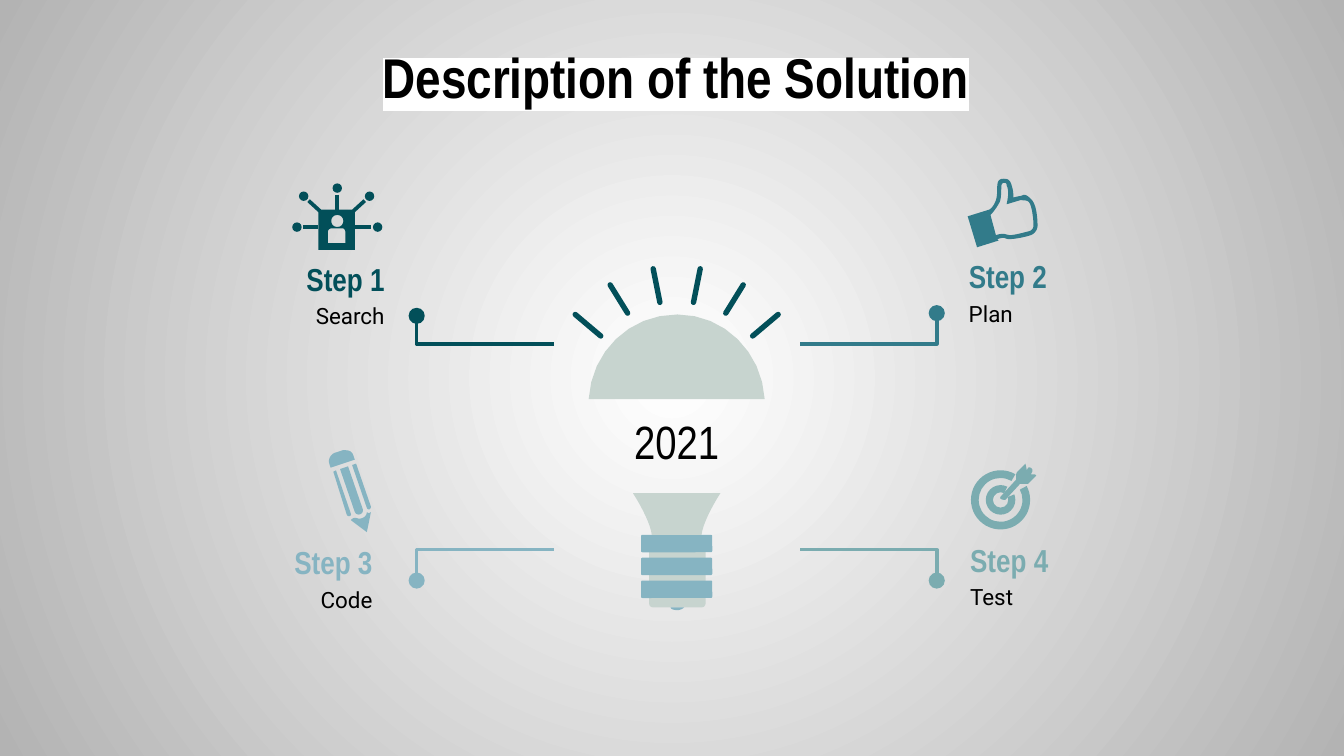
from dataclasses import dataclass

from lxml.etree import SubElement
from pptx import Presentation
from pptx.dml.color import RGBColor as Rgb
from pptx.enum.shapes import MSO_CONNECTOR as Connector, MSO_SHAPE as Preset
from pptx.enum.text import MSO_ANCHOR as Anchor, PP_ALIGN as Align
from pptx.oxml.ns import qn
from pptx.util import Inches, Pt


@dataclass(frozen=True)
class Theme:
    black: str = "000000"
    white: str = "FFFFFF"
    edge: str = "B3B3B3"
    glass: str = "C7D4CF"
    search: str = "024F59"
    plan: str = "327B8A"
    code: str = "86B4C2"
    test: str = "7BACB0"
    heading: str = "Arial Narrow"
    body: str = "Roboto"
    title_size: float = 30
    year_size: float = 25
    step_size: float = 17
    body_size: float = 12


@dataclass(frozen=True)
class Step:
    title: str
    detail: str
    color: str
    on_left: bool
    edge: float          # aligned edge of both labels
    top: float
    dot: tuple[float, float]
    corner_y: float
    title_width: float = 1.39


THEME = Theme()
SLIDE_WIDTH = Inches(10)
SLIDE_HEIGHT = SLIDE_WIDTH * 9 // 16
DETAIL_WIDTH = 2.23
TITLE_HEIGHT, DETAIL_HEIGHT = 0.32, 0.76
DOT_SIZE, ARM_LENGTH = 0.12, 1.02
BULB_X = 5.035

STEPS = [
    Step("Step 1", "Search", THEME.search, True, 2.96, 1.83, (3.1, 2.35), 2.56),
    Step("Step 2", "Plan", THEME.plan, False, 7.11, 1.81, (6.97, 2.33), 2.56),
    Step("Step 3", "Code", THEME.code, True, 2.87, 3.94, (3.1, 4.32), 4.09),
    Step("Step 4", "Test", THEME.test, False, 7.12, 3.92, (6.97, 4.32), 4.09, 2.23),
]

# Outlines: M starts a closed contour, L is a line, C a cubic curve
PENCIL = """
M 2.57 3.35 C 2.56 3.35 2.56 3.35 2.55 3.35 L 2.49 3.37 C 2.46 3.38 2.44 3.42 2.45 3.45
L 2.46 3.48 L 2.64 3.42 L 2.63 3.39 C 2.62 3.36 2.6 3.35 2.57 3.35
M 2.65 3.45 L 2.62 3.46 L 2.73 3.78 C 2.74 3.8 2.76 3.79 2.76 3.77
M 2.59 3.47 L 2.53 3.49 L 2.64 3.81 C 2.66 3.85 2.71 3.82 2.7 3.79
M 2.5 3.5 L 2.48 3.51 L 2.58 3.83 C 2.59 3.85 2.62 3.84 2.61 3.82
M 2.76 3.81 C 2.75 3.82 2.74 3.82 2.73 3.81 C 2.73 3.84 2.7 3.86 2.67 3.86
C 2.64 3.85 2.63 3.85 2.61 3.87 L 2.73 3.96"""
BADGE = """
M 2.37 1.56 L 2.64 1.56 L 2.64 1.86 L 2.37 1.86
M 2.51 1.6 C 2.57 1.6 2.57 1.69 2.51 1.69 C 2.45 1.69 2.45 1.6 2.51 1.6
M 2.55 1.7 C 2.56 1.7 2.57 1.71 2.57 1.73 L 2.57 1.81 L 2.44 1.81 L 2.44 1.73
C 2.44 1.71 2.45 1.7 2.47 1.7"""
THUMB = """
M 7.47 1.36 C 7.48 1.36 7.49 1.36 7.49 1.38 C 7.51 1.42 7.5 1.47 7.49 1.52 L 7.59 1.49
C 7.62 1.49 7.65 1.49 7.66 1.51 C 7.68 1.54 7.69 1.64 7.69 1.68 C 7.69 1.68 7.69 1.71 7.66 1.72
C 7.62 1.73 7.55 1.75 7.51 1.75 L 7.47 1.74 C 7.46 1.74 7.44 1.74 7.41 1.75 L 7.37 1.6
C 7.39 1.58 7.42 1.54 7.44 1.5 C 7.45 1.47 7.45 1.42 7.45 1.39 C 7.45 1.37 7.46 1.36 7.47 1.36
M 7.47 1.33 C 7.44 1.33 7.42 1.34 7.42 1.39 C 7.42 1.42 7.42 1.46 7.41 1.49
C 7.4 1.52 7.38 1.55 7.36 1.56 L 7.2 1.61 L 7.27 1.84 L 7.43 1.79 L 7.42 1.78
C 7.45 1.77 7.46 1.77 7.47 1.77 L 7.5 1.78 C 7.56 1.78 7.64 1.76 7.67 1.75
C 7.72 1.73 7.72 1.68 7.72 1.68 C 7.72 1.67 7.72 1.54 7.68 1.49 C 7.66 1.47 7.64 1.45 7.62 1.45
C 7.61 1.45 7.6 1.46 7.58 1.46 L 7.54 1.47 C 7.54 1.45 7.54 1.42 7.53 1.39
C 7.52 1.35 7.51 1.33 7.47 1.33"""
DART = """
M 7.63 3.45 L 7.57 3.51 C 7.56 3.52 7.56 3.53 7.56 3.57 L 7.45 3.69 C 7.43 3.71 7.45 3.72 7.48 3.72
L 7.59 3.6 L 7.63 3.6 L 7.65 3.6 L 7.71 3.54 L 7.7 3.53 L 7.67 3.53 L 7.68 3.51
C 7.69 3.5 7.67 3.47 7.65 3.48 L 7.64 3.5"""
DOME = "M 5.04 2.34 C 4.68 2.34 4.4 2.62 4.38 2.97 L 5.69 2.97 C 5.67 2.62 5.39 2.34 5.04 2.34"
NECK = "M 4.71 3.67 C 4.78 3.78 4.84 3.9 4.85 3.98 L 5.22 3.98 C 5.23 3.9 5.29 3.78 5.36 3.67"
TIP = "M 4.99 4.52 C 4.99 4.53 5.01 4.54 5.04 4.54 C 5.06 4.54 5.08 4.53 5.09 4.52"


def paint(shape, color: str) -> None:
    shape.shadow.inherit = False
    shape.fill.solid()
    shape.fill.fore_color.rgb = Rgb.from_string(color)
    shape.line.fill.background()


def add_preset(slide, kind, box: tuple, color: str, *adjustments: float) -> None:
    shape = slide.shapes.add_shape(kind, *map(Inches, box))
    for index, value in enumerate(adjustments):
        shape.adjustments[index] = value
    paint(shape, color)


def add_circle(slide, x: float, y: float, size: float, color: str) -> None:
    add_preset(slide, Preset.OVAL, (x - size / 2, y - size / 2, size, size), color)


def trace(outline: str, samples: int = 8) -> list[list[tuple[float, float]]]:
    """Turn an outline into contours of points, sampling its curves."""
    contours = []
    for part in outline.split("M")[1:]:
        tokens = part.replace("L", "|L").replace("C", "|C").split("|")
        points = [tuple(map(float, tokens[0].split()))]
        for token in tokens[1:]:
            values = [float(number) for number in token[1:].split()]
            if token[0] == "L":
                points.append(tuple(values))
                continue
            xs, ys = ((points[-1][axis], *values[axis::2]) for axis in (0, 1))
            for t in (i / samples for i in range(1, samples + 1)):
                weights = ((1 - t) ** 3, 3 * t * (1 - t) ** 2, 3 * t * t * (1 - t), t ** 3)
                points.append(tuple(sum(w * v for w, v in zip(weights, vs)) for vs in (xs, ys)))
        contours.append(points)
    return contours


def build_path(slide, contours: list, close: bool = True):
    contours = [[(Inches(x), Inches(y)) for x, y in points] for points in contours]
    builder = slide.shapes.build_freeform(*contours[0][0])
    for index, points in enumerate(contours):
        if index:
            builder.move_to(*points[0])
        builder.add_line_segments(points[1:], close=close)
    return builder.convert_to_shape()


def add_outline(slide, outline: str, color: str) -> None:
    paint(build_path(slide, trace(outline)), color)


def add_line(slide, start: tuple, end: tuple, color: str, width: float, cap: str = "flat") -> None:
    line = slide.shapes.add_connector(Connector.STRAIGHT, *map(Inches, (*start, *end)))
    line.line.color.rgb = Rgb.from_string(color)
    line.line.width = Pt(width)
    line.line._get_or_add_ln().set("cap", cap)
    SubElement(line._element.spPr, qn("a:effectLst"))


def add_text(slide, text: str, box: tuple, font: str, size: float, color: str,
             align=Align.LEFT, bold: bool = False, highlight: str = "") -> None:
    frame = slide.shapes.add_textbox(*map(Inches, box)).text_frame
    frame_format = {"word_wrap": True, "vertical_anchor": Anchor.TOP}
    frame_format |= {f"margin_{side}": Inches(0.1) for side in ("left", "top", "right", "bottom")}
    paragraph = frame.paragraphs[0]
    paragraph.alignment = align
    run = paragraph.add_run()
    run.text = text
    font_format = {"name": font, "size": Pt(size), "bold": bold}
    for target, values in ((frame, frame_format), (run.font, font_format)):
        for name, value in values.items():
            setattr(target, name, value)
    run.font.color.rgb = Rgb.from_string(color)
    if highlight:
        properties = run.font._element
        mark = SubElement(properties, qn("a:highlight"))
        SubElement(mark, qn("a:srgbClr"), val=highlight)
        properties.find(qn("a:solidFill")).addnext(mark)


def add_background(slide) -> None:
    fill = slide.background.fill
    fill.gradient()
    for stop, color in zip(fill.gradient_stops, (THEME.white, THEME.edge)):
        stop.color.rgb = Rgb.from_string(color)
    gradient = slide.element.find(".//" + qn("a:gradFill"))
    gradient.remove(gradient.find(qn("a:lin")))
    circle = SubElement(gradient, qn("a:path"), path="circle")
    SubElement(circle, qn("a:fillToRect"), l="50000", t="50000", r="50000", b="50000")


def add_step(slide, step: Step) -> None:
    x, y = step.dot
    end = x + ARM_LENGTH if step.on_left else x - ARM_LENGTH
    arm = build_path(slide, [[(x, y), (x, step.corner_y), (end, step.corner_y)]], close=False)
    arm.shadow.inherit = False
    arm.fill.background()
    arm.line.color.rgb = Rgb.from_string(step.color)
    arm.line.width = Pt(1.9)
    add_circle(slide, x, y, DOT_SIZE, step.color)

    align = Align.RIGHT if step.on_left else Align.LEFT
    title_x, detail_x = (step.edge - width if step.on_left else step.edge
                         for width in (step.title_width, DETAIL_WIDTH))
    add_text(slide, step.title, (title_x, step.top, step.title_width, TITLE_HEIGHT),
             THEME.heading, THEME.step_size, step.color, align, bold=True)
    add_text(slide, step.detail, (detail_x, step.top + TITLE_HEIGHT, DETAIL_WIDTH, DETAIL_HEIGHT),
             THEME.body, THEME.body_size, THEME.black, align)


def add_icons(slide) -> None:
    add_outline(slide, PENCIL, THEME.code)
    # Search badge with five spokes
    for node, root in (((2.21, 1.69), (2.37, 1.69)), ((2.26, 1.46), (2.38, 1.57)),
                       ((2.51, 1.4), (2.51, 1.56)), ((2.75, 1.46), (2.63, 1.57)),
                       ((2.81, 1.69), (2.64, 1.69))):
        start = tuple(n + (r - n) * 0.3 for n, r in zip(node, root))
        add_line(slide, start, root, THEME.search, 2)
        add_circle(slide, *node, 0.07, THEME.search)
    add_outline(slide, BADGE, THEME.search)
    add_outline(slide, THUMB, THEME.plan)
    # Target rings, open towards the dart; angles in degrees
    for size, start, end, thickness in ((0.44, 332, 300, 0.13), (0.22, 338, 297, 0.24)):
        add_preset(slide, Preset.BLOCK_ARC, (7.445 - size / 2, 3.72 - size / 2, size, size),
                   THEME.test, start * 0.6, end * 0.6, thickness)
    add_outline(slide, DART, THEME.test)


def add_bulb(slide) -> None:
    add_preset(slide, Preset.ROUNDED_RECTANGLE, (4.83, 3.99, 0.42, 0.53), THEME.glass, 0.07)
    for band in range(3):
        add_preset(slide, Preset.ROUNDED_RECTANGLE, (4.77, 3.98 + band * 0.17, 0.53, 0.13),
                   THEME.code, 0.08)
    for outline, color in ((TIP, THEME.code), (DOME, THEME.glass), (NECK, THEME.glass)):
        add_outline(slide, outline, color)
    # Rays mirrored about the bulb's axis
    for (x1, y1), (x2, y2) in (((4.86, 2), (4.91, 2.25)), ((4.54, 2.12), (4.67, 2.33)),
                               ((4.28, 2.34), (4.47, 2.5))):
        for side in (-1, 1):
            start, end = ((BULB_X + side * (BULB_X - x), y) for x, y in ((x1, y1), (x2, y2)))
            add_line(slide, start, end, THEME.search, 2.9, "rnd")
    add_text(slide, "2021", (4.38, 2.97, 1.31, 0.53), THEME.heading, THEME.year_size,
             THEME.black, Align.CENTER)


def main() -> None:
    deck = Presentation()
    deck.slide_width, deck.slide_height = SLIDE_WIDTH, SLIDE_HEIGHT
    slide = deck.slides.add_slide(deck.slide_layouts[6])
    add_background(slide)
    add_text(slide, "Description of the Solution", (1.86, 0.22, 6.34, 0.68), THEME.heading,
             THEME.title_size, THEME.black, Align.CENTER, bold=True, highlight=THEME.white)
    add_icons(slide)
    add_bulb(slide)
    for step in STEPS:
        add_step(slide, step)
    deck.save("out.pptx")


if __name__ == "__main__":
    main()
